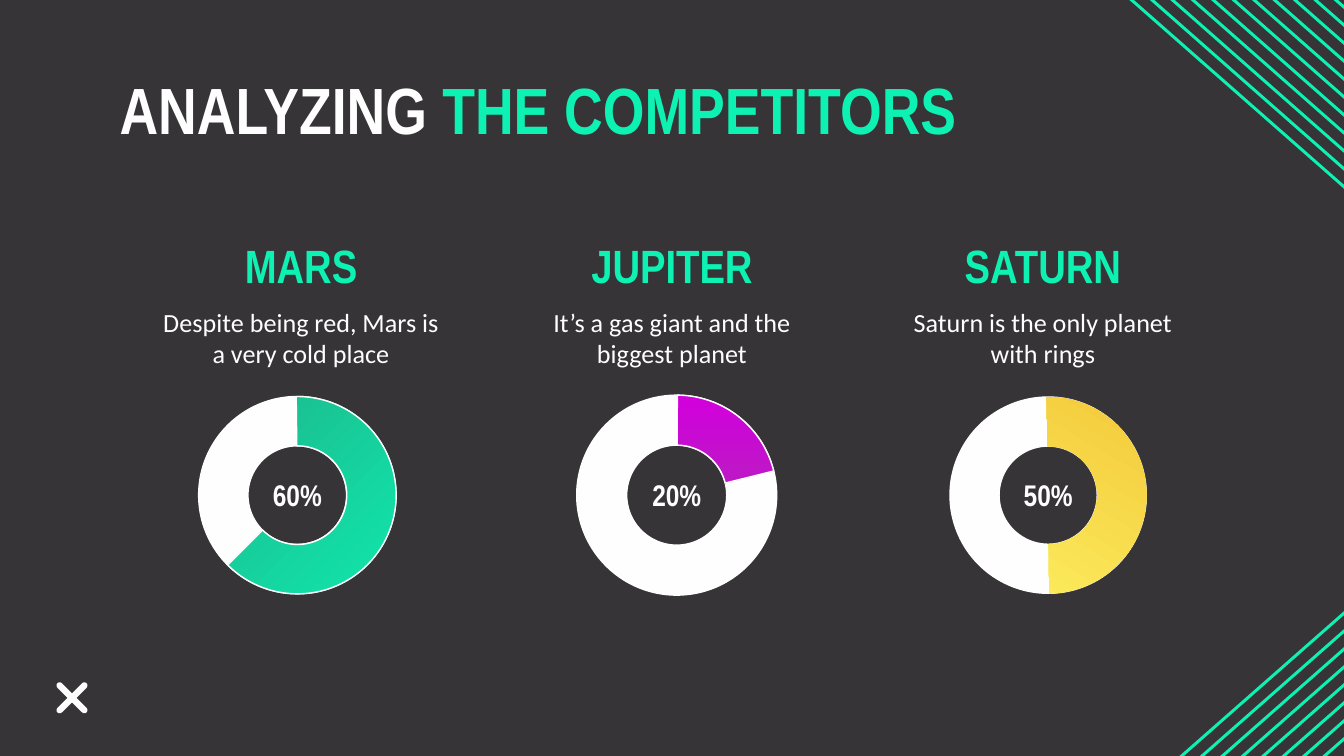
from dataclasses import dataclass

from pptx import Presentation
from pptx.dml.color import RGBColor
from pptx.enum.shapes import MSO_SHAPE
from pptx.enum.text import MSO_ANCHOR, MSO_AUTO_SIZE, PP_ALIGN
from pptx.util import Cm, Pt


@dataclass(frozen=True)
class Theme:
    background: str = "373437"
    accent: str = "0DF2B2"
    light: str = "FFFEFF"
    heading_font: str = "Arial Narrow"
    body_font: str = "Calibri"
    title_size: float = 35
    heading_size: float = 25
    body_size: float = 14
    percent_size: float = 16
    inset: float = 0.25


@dataclass(frozen=True)
class Planet:
    name: str
    fact: str
    percent: str
    ring_center: float
    ring_size: float
    start: float  # arc angles in degrees, clockwise from the right
    end: float
    rotation: float
    gradient: tuple
    outlined: bool = True


THEME = Theme()
PLANETS = [
    Planet("MARS", "Despite being red, Mars is a very cold place", "60%",
           5.62, 3.73, 134.26, 0, 135, ("0DF2B2", "21AA84")),
    Planet("JUPITER", "It’s a gas giant and the biggest planet", "20%",
           12.79, 3.78, 270.42, 346.05, 0, ("D100DC", "A23AA8")),
    Planet("SATURN", "Saturn is the only planet with rings", "50%",
           19.81, 3.71, 59.08, 239.45, 210, ("FFF86A", "F1C232"), False),
]


def color(code):
    return RGBColor.from_string(code)


def add_run(paragraph, text, *, size, ink=THEME.light,
            font=THEME.heading_font, bold=True):
    run = paragraph.add_run()
    run.text = text
    run.font.size, run.font.name, run.font.bold = Pt(size), font, bold
    run.font.color.rgb = color(ink)


def prepare_frame(frame, anchor):
    frame.word_wrap = True
    frame.auto_size = MSO_AUTO_SIZE.NONE
    frame.vertical_anchor = anchor
    frame.margin_left = frame.margin_right = Cm(THEME.inset)
    frame.margin_top = frame.margin_bottom = Cm(THEME.inset)


def add_text(slide, box, text, *, space_after=0, **style):
    frame = slide.shapes.add_textbox(*map(Cm, box)).text_frame
    prepare_frame(frame, MSO_ANCHOR.TOP)
    paragraph = frame.paragraphs[0]
    paragraph.alignment = PP_ALIGN.CENTER
    paragraph.space_after = Pt(space_after)
    add_run(paragraph, text, **style)


def add_plain_shape(slide, kind, box, *, fill=THEME.light, line=None):
    shape = slide.shapes.add_shape(kind, *map(Cm, box))
    paint(shape, fill)
    if line:
        shape.line.color.rgb = color(line)
        shape.line.width = Pt(0.75)
    return shape


def paint(shape, fill):
    shape.shadow.inherit = False
    shape.fill.solid()
    shape.fill.fore_color.rgb = color(fill)
    shape.line.fill.background()


def add_stripes(slide, box, count, *, rising):
    """Parallel diagonal bands, each one step further into the corner."""
    left, top, width, height = box
    step_x, step_y, thick = 0.17, 0.19 if rising else -0.19, 0.04
    corners = [(0, thick), (thick, 0), (width, height - thick),
               (width - thick, height)]
    if rising:
        corners = [(x, height - y) for x, y in corners]
    for i in range(count):
        points = [(Cm(left + i * step_x + x), Cm(top + i * step_y + y))
                  for x, y in corners]
        builder = slide.shapes.build_freeform(*points[0])
        builder.add_line_segments(points[1:], close=True)
        paint(builder.convert_to_shape(), THEME.accent)


def add_cross(slide, box):
    left, top, size = box
    length, thick = 0.78, 0.12
    bar = (left + (size - length) / 2, top + (size - thick) / 2, length, thick)
    for angle in (45, 135):
        stroke = add_plain_shape(slide, MSO_SHAPE.ROUNDED_RECTANGLE, bar)
        stroke.adjustments[0] = 0.5
        stroke.rotation = angle


def place_title(slide, box):
    title = slide.shapes.title
    title.left, title.top, title.width, title.height = map(Cm, box)
    prepare_frame(title.text_frame, MSO_ANCHOR.MIDDLE)
    paragraph = title.text_frame.paragraphs[0]
    paragraph.alignment = PP_ALIGN.LEFT
    add_run(paragraph, "ANALYZING ", size=THEME.title_size)
    add_run(paragraph, "THE COMPETITORS", size=THEME.title_size,
            ink=THEME.accent)


def add_ring(slide, box, planet):
    left, top, size, _ = box
    track = add_plain_shape(slide, MSO_SHAPE.DONUT, box, line=THEME.light)
    track.adjustments[0] = 0.25

    share = add_plain_shape(slide, MSO_SHAPE.BLOCK_ARC, box,
                            line=THEME.light if planet.outlined else None)
    # Angles are stored in 60000ths of a degree, adjustments in 100000ths
    share.adjustments[0] = planet.start * 0.6
    share.adjustments[1] = planet.end * 0.6
    share.adjustments[2] = 0.25
    share.rotation = planet.rotation
    share.fill.gradient()
    share.fill.gradient_angle = 270
    for stop, code in zip(share.fill.gradient_stops, planet.gradient):
        stop.color.rgb = color(code)

    label_width, label_height = 4.32, 1.22
    add_text(slide, (left + (size - label_width) / 2,
                     top + (size - label_height) / 2 + 0.01,
                     label_width, label_height),
             planet.percent, size=THEME.percent_size)


def add_planet(slide, box, planet):
    left, top, width, height = box
    add_text(slide, (left, top, width, 1.22), planet.name,
             size=THEME.heading_size, ink=THEME.accent)
    add_text(slide, (left, top + 1.32, width, 2.21), planet.fact,
             size=THEME.body_size, font=THEME.body_font, bold=False,
             space_after=16)
    size = planet.ring_size
    ring_middle = top + height - 1.89
    add_ring(slide, (planet.ring_center - size / 2, ring_middle - size / 2,
                     size, size), planet)


def main():
    deck = Presentation()
    deck.slide_width, deck.slide_height = Cm(25.4), Cm(14.29)
    slide = deck.slides.add_slide(deck.slide_layouts[5])
    slide.background.fill.solid()
    slide.background.fill.fore_color.rgb = color(THEME.background)

    # Corner decoration
    add_stripes(slide, (19.23, -1.9, 8.86, 7.8), 11, rising=False)
    add_stripes(slide, (19.46, 9.02, 8.86, 7.8), 8, rising=True)
    add_cross(slide, (1.07, 12.9, 0.58))

    # Title and one column per planet
    place_title(slide, (2.01, 1.24, 21.41, 1.6))
    for i, planet in enumerate(PLANETS):
        add_planet(slide, (2.72 + i * 7.01, 4.22, 5.94, 7.03), planet)

    deck.save("out.pptx")


if __name__ == "__main__":
    main()
